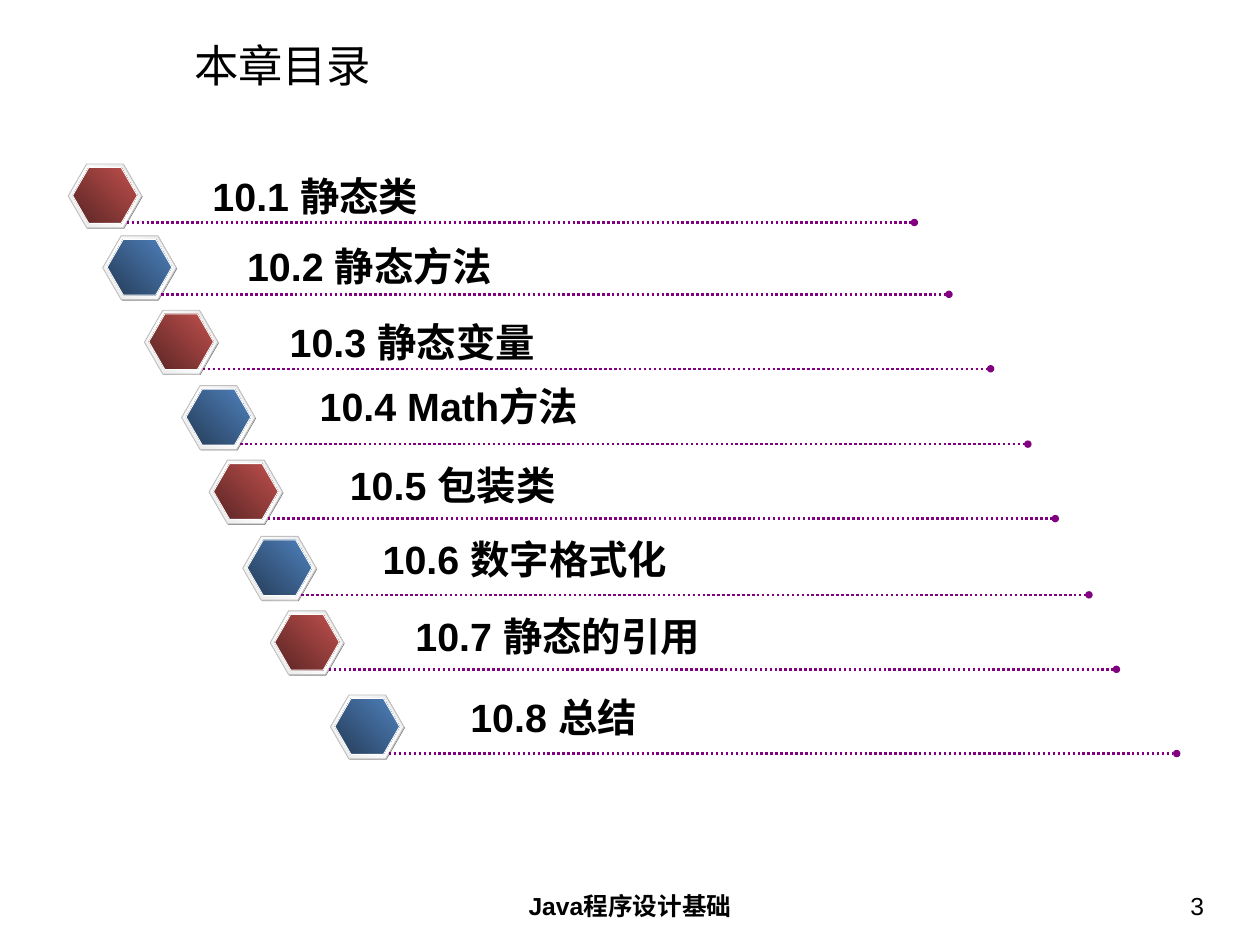
from dataclasses import dataclass

from lxml import etree
from pptx import Presentation
from pptx.dml.color import RGBColor
from pptx.enum.dml import MSO_LINE
from pptx.enum.shapes import MSO_CONNECTOR, MSO_SHAPE
from pptx.enum.text import MSO_ANCHOR, MSO_AUTO_SIZE, PP_ALIGN
from pptx.oxml.ns import qn
from pptx.shapes.autoshape import Shape
from pptx.shapes.group import GroupShape
from pptx.slide import Slide
from pptx.text.text import TextFrame
from pptx.util import Inches, Pt

HEXAGON = MSO_SHAPE.HEXAGON
STRAIGHT = MSO_CONNECTOR.STRAIGHT
DOTTED = MSO_LINE.ROUND_DOT
LEFT, CENTER, RIGHT = PP_ALIGN.LEFT, PP_ALIGN.CENTER, PP_ALIGN.RIGHT
TOP, MIDDLE = MSO_ANCHOR.TOP, MSO_ANCHOR.MIDDLE
FIT_SHAPE, NO_FIT = MSO_AUTO_SIZE.SHAPE_TO_FIT_TEXT, MSO_AUTO_SIZE.NONE

FONT = "Arial"
COLORS = {
    "text": "000000",
    "shade": "808080",
    "rim_edge": "E6E6E6",
    "rim_middle": "FFFFFF",
    "rim_line": "C0C0C0",
    "core_line": "FFFFFF",
    "red_dark": "592524",
    "red": "C0504D",
    "blue_dark": "253C57",
    "blue": "4F81BD",
    "rule": "800080",
}
RIM = ["rim_edge", "rim_middle", "rim_edge"]
CORES = [["red_dark", "red"], ["blue_dark", "blue"]]
RIM_SIZE = (0.83, 0.72)
CORE_SIZE = (0.73, 0.63)
RULE_OFFSET = 0.66
RULE_LENGTH = 8.89


@dataclass
class Section:
    label: str
    left: float  # hexagon rim
    top: float
    label_left: float
    label_top: float
    label_width: float


@dataclass
class FooterPart:
    text: str
    left: float
    width: float
    align: PP_ALIGN
    bold: bool


# Label widths leave a little room so that each label stays on one line
SECTIONS = [
    Section("10.1 静态类", 0.77, 1.85, 2.3, 1.89, 2.7),
    Section("10.2 静态方法", 1.16, 2.66, 2.69, 2.68, 3.15),
    Section("10.3 静态变量", 1.63, 3.5, 3.17, 3.54, 3.15),
    Section("10.4 Math方法", 2.05, 4.35, 3.51, 4.26, 3.3),
    Section("10.5 包装类", 2.36, 5.19, 3.85, 5.15, 2.7),
    Section("10.6 数字格式化", 2.74, 6.05, 4.22, 5.99, 3.6),
    Section("10.7 静态的引用", 3.05, 6.89, 4.59, 6.86, 3.6),
    Section("10.8 总结", 3.73, 7.84, 5.21, 7.77, 2.25),
]
FOOTER = [
    FooterPart("Java程序设计基础", 4.86, 4.5, CENTER, True),
    FooterPart("3", 10.41, 3.32, RIGHT, False),
]


def rgb(color: str) -> RGBColor:
    return RGBColor.from_string(COLORS[color])


def write(frame: TextFrame, text: str, size: float, bold: bool = False,
          align: PP_ALIGN = LEFT, anchor: MSO_ANCHOR = TOP,
          inset: tuple[float, float] = (0.14, 0.07)) -> None:
    frame.margin_left = frame.margin_right = Inches(inset[0])
    frame.margin_top = frame.margin_bottom = Inches(inset[1])
    frame.vertical_anchor = anchor
    frame.text = text
    paragraph = frame.paragraphs[0]
    paragraph.alignment = align
    font = paragraph.runs[0].font
    font.name, font.size, font.bold = FONT, Pt(size), bold
    font.color.rgb = rgb("text")


def set_gradient(shape: Shape, colors: list[str]) -> None:
    """Spread the colours evenly from bottom left to top right."""
    shape.fill.gradient()
    shape.fill.gradient_angle = 45
    stops = shape.element.spPr.find(qn("a:gradFill")).find(qn("a:gsLst"))
    for stop in list(stops):
        stops.remove(stop)
    for index, color in enumerate(colors):
        position = 100000 * index // (len(colors) - 1)
        stop = etree.SubElement(stops, qn("a:gs"), pos=str(position))
        etree.SubElement(stop, qn("a:srgbClr"), val=COLORS[color])


def add_hexagon(group: GroupShape, left: float, top: float, size: tuple[float, float],
                colors: list[str], outline: str | None = None) -> None:
    hexagon = group.shapes.add_shape(
        HEXAGON, Inches(left), Inches(top), Inches(size[0]), Inches(size[1]))
    hexagon.shadow.inherit = False
    hexagon.adjustments[0] = 0.289
    hexagon.adjustments[1] = 1.155
    if len(colors) > 1:
        set_gradient(hexagon, colors)
    else:
        hexagon.fill.solid()
        hexagon.fill.fore_color.rgb = rgb(colors[0])
    if outline:
        hexagon.line.color.rgb = rgb(outline)
        hexagon.line.width = Pt(0.75)
    else:
        hexagon.line.fill.background()


def add_rule(group: GroupShape, left: float, top: float) -> None:
    rule = group.shapes.add_connector(
        STRAIGHT, Inches(left), Inches(top), Inches(left + RULE_LENGTH), Inches(top))
    rule.line.color.rgb = rgb("rule")
    rule.line.width = Pt(2)
    rule.line.dash_style = DOTTED
    properties = rule.element.spPr
    etree.SubElement(properties.find(qn("a:ln")), qn("a:tailEnd"), type="oval")
    etree.SubElement(properties, qn("a:effectLst"))


def add_section(slide: Slide, section: Section, core: list[str]) -> None:
    group = slide.shapes.add_group_shape()
    left, top = section.left, section.top
    add_hexagon(group, left + 0.01, top + 0.01, RIM_SIZE, ["shade"])
    add_hexagon(group, left, top, RIM_SIZE, RIM, "rim_line")
    add_hexagon(group, left + 0.05, top + 0.04, CORE_SIZE, core, "core_line")
    add_rule(group, left + RULE_OFFSET, top + RULE_OFFSET)
    label = group.shapes.add_textbox(
        Inches(section.label_left), Inches(section.label_top),
        Inches(section.label_width), Inches(0.64)).text_frame
    label.word_wrap = False
    label.auto_size = FIT_SHAPE
    write(label, section.label, 32, bold=True, inset=(0.1, 0.05))


def main() -> None:
    deck = Presentation()
    deck.slide_width, deck.slide_height = Inches(14.22), Inches(10.66)
    slide = deck.slides.add_slide(deck.slide_layouts[5])

    # Title
    title = slide.shapes.title
    title.left, title.top = Inches(2.05), Inches(0.45)
    title.width, title.height = Inches(11.83), Inches(0.57)
    title.text_frame.auto_size = NO_FIT
    write(title.text_frame, "本章目录", 36, anchor=MIDDLE)

    # Footer and slide number
    for part in FOOTER:
        footer = slide.shapes.add_textbox(
            Inches(part.left), Inches(9.98), Inches(part.width), Inches(0.55)).text_frame
        footer.word_wrap = True
        write(footer, part.text, 20, part.bold, part.align)

    # Chapter sections, alternating red and blue
    for index, section in enumerate(SECTIONS):
        add_section(slide, section, CORES[index % len(CORES)])

    deck.save("out.pptx")


if __name__ == "__main__":
    main()
